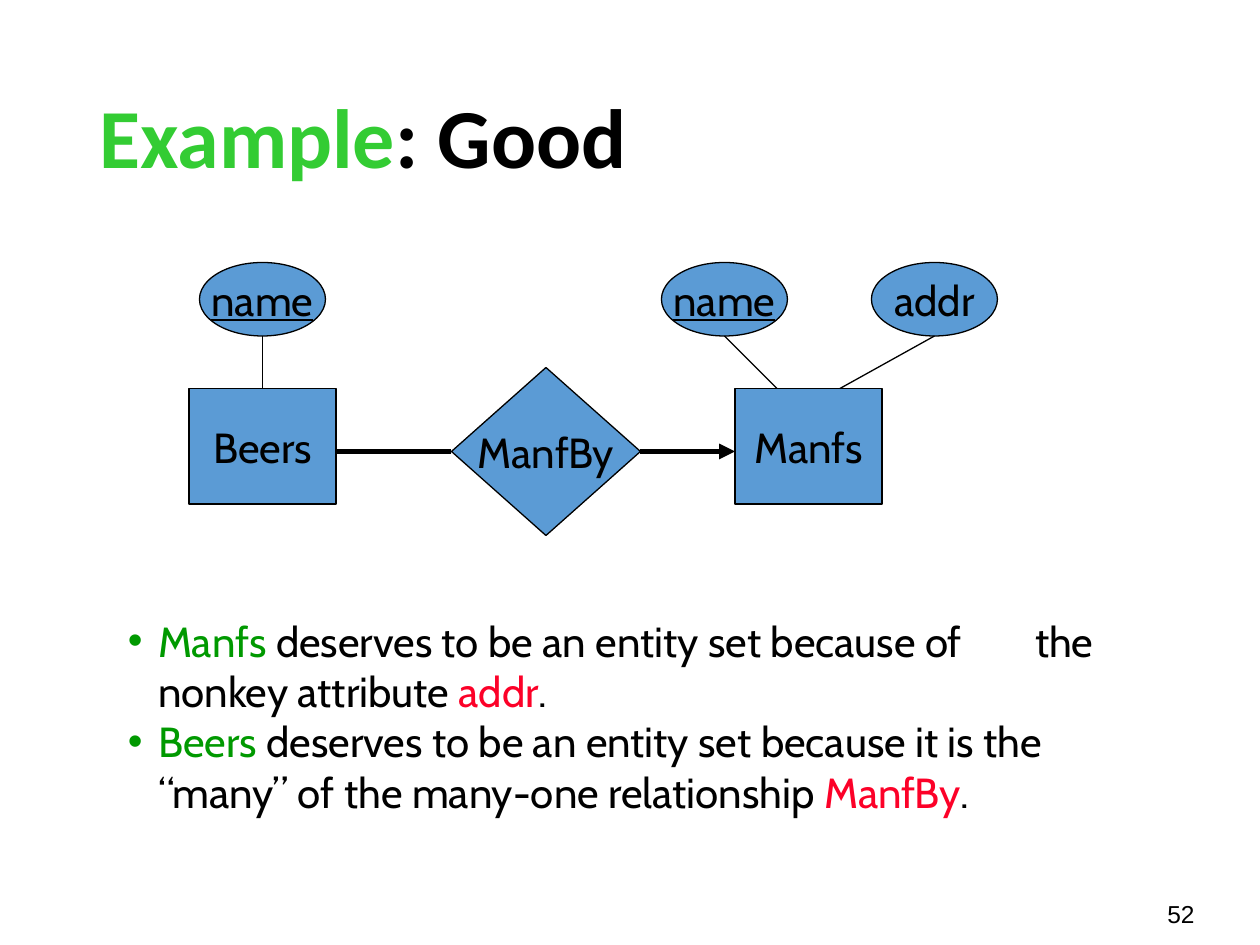
from lxml.etree import SubElement
from pptx import Presentation
from pptx.dml.color import RGBColor
from pptx.enum.shapes import MSO_CONNECTOR as Connector, MSO_SHAPE as Shape
from pptx.enum.text import MSO_ANCHOR as Anchor, PP_ALIGN as Align
from pptx.oxml.ns import qn
from pptx.util import Inches, Pt

COLORS = {"black": "000000", "blue": "5B9BD5", "lime": "33CC33",
          "green": "009900", "red": "FC0128"}
CELLS_PER_INCH = 12
BULLET_INDENT = 0.24
BULLET_TAB = 7.2


def color(name):
    """Return the named colour."""
    return RGBColor.from_string(COLORS[name])


def cells(*counts):
    """Turn grid columns and rows into lengths."""
    return [Inches(count / CELLS_PER_INCH) for count in counts]


def style_paragraph(paragraph, size, font_name, bold=None, underline=None):
    """Set the font shared by all runs of a paragraph."""
    font = paragraph.font
    font.size, font.name = Pt(size), font_name
    font.bold, font.underline = bold, underline
    font.color.rgb = color("black")


def add_runs(paragraph, runs):
    """Add pairs of text and colour name to a paragraph."""
    for text, name in runs:
        run = paragraph.add_run()
        run.text = text
        run.font.color.rgb = color(name)


def add_bullet(paragraph):
    """Give a paragraph a green bullet, a hanging indent and a tab stop."""
    properties = paragraph._p.get_or_add_pPr()
    properties.set("marL", str(Inches(BULLET_INDENT)))
    properties.set("indent", str(-Inches(BULLET_INDENT)))
    bullet_color = SubElement(properties, qn("a:buClr"))
    SubElement(bullet_color, qn("a:srgbClr"), val=COLORS["green"])
    SubElement(properties, qn("a:buFont"), typeface="Arial")
    SubElement(properties, qn("a:buChar"), char="•")
    tabs = SubElement(properties, qn("a:tabLst"))
    SubElement(tabs, qn("a:tab"), pos=str(Inches(BULLET_TAB)), algn="l")


def add_text(slide, box, paragraphs, size, font_name, bold=None, bullets=False):
    """Add a text box with coloured runs and return its frame."""
    frame = slide.shapes.add_textbox(*cells(*box)).text_frame
    frame.word_wrap = True
    for index, runs in enumerate(paragraphs):
        paragraph = frame.add_paragraph() if index else frame.paragraphs[0]
        if bullets:
            add_bullet(paragraph)
        style_paragraph(paragraph, size, font_name, bold)
        add_runs(paragraph, runs)
    return frame


def add_node(slide, kind, box, label, underline=None):
    """Add a labelled entity, relationship or attribute."""
    shape = slide.shapes.add_shape(kind, *cells(*box))
    shape.shadow.inherit = False
    shape.fill.solid()
    shape.fill.fore_color.rgb = color("blue")
    shape.line.color.rgb = color("black")
    shape.line.width = Pt(0.75)
    frame = shape.text_frame
    frame.word_wrap = False
    frame.vertical_anchor = Anchor.MIDDLE
    paragraph = frame.paragraphs[0]
    paragraph.alignment = Align.CENTER
    style_paragraph(paragraph, 24, "Cabin", underline=underline)
    add_runs(paragraph, [(label, "black")])


def add_link(slide, ends, width=0.75, arrow=False):
    """Add a straight line, with an arrowhead at its end if asked."""
    link = slide.shapes.add_connector(Connector.STRAIGHT, *cells(*ends))
    link.line.color.rgb = color("black")
    link.line.width = Pt(width)
    if arrow:
        SubElement(link.line._get_or_add_ln(), qn("a:tailEnd"), type="triangle")
    SubElement(link._element.spPr, qn("a:effectLst"))


def add_diagram(slide):
    """Draw the entity-relationship diagram."""
    for left, label in ((18, "Beers"), (70, "Manfs")):
        add_node(slide, Shape.RECTANGLE, (left, 37, 14, 11), label)
    add_node(slide, Shape.DIAMOND, (43, 35, 18, 16), "ManfBy")
    attributes = ((19, "name", True, 25), (63, "name", True, 74), (83, "addr", None, 80))
    for left, label, is_key, entity_x in attributes:
        add_node(slide, Shape.OVAL, (left, 25, 12, 7), label, is_key)
        add_link(slide, (left + 6, 32, entity_x, 37))
    add_link(slide, (43, 43, 32, 43), width=3)
    add_link(slide, (61, 43, 70, 43), width=3, arrow=True)


def main():
    """Build and save the slide."""
    presentation = Presentation()
    presentation.slide_width, presentation.slide_height = Inches(10), Inches(7.5)
    slide = presentation.slides.add_slide(presentation.slide_layouts[6])
    title = add_text(slide, (8.3, 4.8, 103.5, 17.4),
                     [[("Example", "lime"), (": Good", "black")]],
                     48, "Calibri", bold=True)
    title.vertical_anchor = Anchor.MIDDLE
    title.paragraphs[0].line_spacing = 0.9
    add_diagram(slide)
    reasons = [
        [("Manfs", "green"),
         (" deserves to be an entity set because of\tthe nonkey attribute ", "black"),
         ("addr", "red"), (".", "black")],
        [("Beers", "green"),
         (" deserves to be an entity set because it is the “many” of the "
          "many-one relationship ", "black"),
         ("ManfBy", "red"), (".", "black")],
    ]
    add_text(slide, (11, 58, 100.8, 20.4), reasons, 24, "Cabin", bullets=True)
    add_text(slide, (110, 85, 7, 4), [[("52", "black")]], 14, "Arial")
    presentation.save("out.pptx")


if __name__ == "__main__":
    main()
